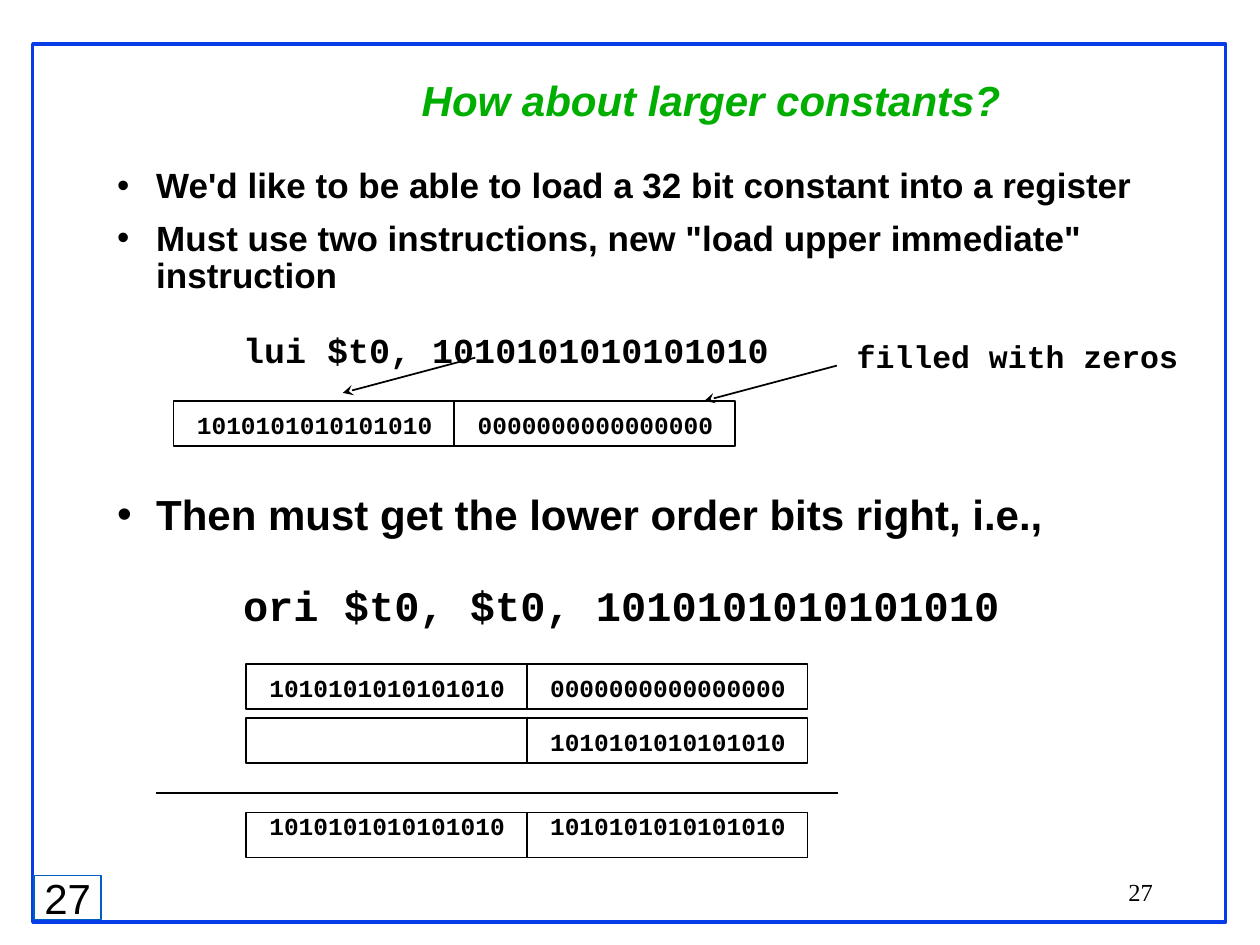
from lxml import etree
from pptx import Presentation
from pptx.dml.color import RGBColor
from pptx.enum.shapes import MSO_CONNECTOR, MSO_SHAPE
from pptx.enum.text import MSO_ANCHOR, PP_ALIGN
from pptx.oxml.ns import qn
from pptx.util import Cm, Pt

BLACK = RGBColor(0, 0, 0)
WHITE = RGBColor(255, 255, 255)
GREEN = RGBColor(0x00, 0xAE, 0x00)
BLUE = RGBColor(0x06, 0x3D, 0xE8)
TEAL = RGBColor(0x00, 0x60, 0xC0)
RECT = MSO_SHAPE.RECTANGLE
LINE = MSO_CONNECTOR.STRAIGHT
TOP, MIDDLE = MSO_ANCHOR.TOP, MSO_ANCHOR.MIDDLE
LEFT, CENTER, RIGHT = PP_ALIGN.LEFT, PP_ALIGN.CENTER, PP_ALIGN.RIGHT
SANS, MONO, SERIF = "Arial", "Courier New", "Times New Roman"
ONES, ZEROS = "10" * 8, "0" * 16
CELL_W, CELL_H = 5.66, 0.91


def write(para, text, size=20, font=SANS, color=BLACK, bold=True, italic=False,
          align=LEFT, before=0, after=0, space=None):
    para.alignment = align
    para.space_before, para.space_after = Pt(before), Pt(after)
    if space:
        para.line_spacing = space
    run = para.add_run()
    run.text = text
    run.font.size, run.font.name = Pt(size), font
    run.font.bold, run.font.italic = bold, italic
    run.font.color.rgb = color


def indent(para, left, hang=0, bullet=None):
    props = para._p.get_or_add_pPr()
    props.set("marL", str(Cm(left)))
    props.set("indent", str(-Cm(hang)))
    if bullet:
        etree.SubElement(props, qn("a:buFont")).set("typeface", SANS)
        etree.SubElement(props, qn("a:buChar")).set("char", bullet)


def frame(slide, x, y, w, h, anchor=TOP, pad=(0.25, 0.13)):
    box = slide.shapes.add_textbox(Cm(x), Cm(y), Cm(w), Cm(h)).text_frame
    box.word_wrap = True
    box.vertical_anchor = anchor
    box.margin_left = box.margin_right = Cm(pad[0])
    box.margin_top = box.margin_bottom = Cm(pad[1])
    return box


def label(slide, text, x, y, w, h, anchor=MIDDLE, pad=(0.25, 0.13), **style):
    box = frame(slide, x, y, w, h, anchor, pad)
    write(box.paragraphs[0], text, **style)


def code(slide, text, x, y, w=5.64, size=14, lead=21):
    label(slide, text, x, y, w, 1.5, TOP, (0.05, 0.08), size=size, font=MONO,
          before=6, after=6, space=Pt(lead))


def rect(slide, x, y, w, h, color=BLACK, width=1, fill=None):
    shape = slide.shapes.add_shape(RECT, Cm(x), Cm(y), Cm(w), Cm(h))
    shape.shadow.inherit = False
    if fill is None:
        shape.fill.background()
    else:
        shape.fill.solid()
        shape.fill.fore_color.rgb = fill
    shape.line.color.rgb = color
    shape.line.width = Pt(width)


def rule(slide, x1, y1, x2, y2, arrow=False):
    line = slide.shapes.add_connector(LINE, Cm(x1), Cm(y1), Cm(x2), Cm(y2))
    line.line.color.rgb = BLACK
    line.line.width = Pt(1)
    if arrow:
        tip = etree.SubElement(line.line._get_or_add_ln(), qn("a:tailEnd"))
        tip.set("type", "stealth")
    etree.SubElement(line._element.spPr, qn("a:effectLst"))


def word(slide, x, y, halves, lift=0.05):
    for i, bits in enumerate(halves):
        left = x + i * CELL_W
        rect(slide, left, y, CELL_W, CELL_H)
        if bits:
            code(slide, bits, left + 0.42, y - lift)


def body(slide):
    lines = [
        ("We'd like to be able to load a 32 bit constant into a register", 20, SANS, 7.5),
        ('Must use two instructions, new "load upper immediate" instruction', 20, SANS, 9),
        ("lui $t0, " + ONES, 20, MONO, 22),
        ("Then must get the lower order bits right, i.e.,", 24, SANS, 70.5),
        ("ori $t0, $t0, " + ONES, 24, MONO, 27),
    ]
    box = frame(slide, 2.11, 3.28, 21.16, 14.5)
    for i, (text, size, font, before) in enumerate(lines):
        para = box.add_paragraph() if i else box.paragraphs[0]
        write(para, text, size=size, font=font, before=before, space=0.88)
        if font == MONO:
            indent(para, 2.54)
        else:
            indent(para, 0.79, 0.79, "•")


def main():
    deck = Presentation()
    deck.slide_width, deck.slide_height = Cm(25.4), Cm(19.05)
    slide = deck.slides.add_slide(deck.slide_layouts[6])

    rect(slide, 0.66, 0.89, 24.05, 17.7, BLUE, 2, WHITE)
    rect(slide, 0.69, 17.65, 1.35, 0.89, TEAL, 1, WHITE)
    label(slide, "27", 0.69, 17.65, 1.35, 0.89, pad=(0, 0), size=24,
          bold=False, align=CENTER)
    label(slide, "27", 18.21, 17.35, 5.28, 1.27, size=14, font=SERIF,
          bold=False, align=RIGHT)
    label(slide, "How about larger constants?", 5.23, 1.45, 18.21, 1.27,
          size=24, color=GREEN, italic=True, align=CENTER, space=0.88)
    body(slide)

    word(slide, 3.5, 8.08, (ONES, ZEROS))
    rule(slide, 9.58, 7.21, 6.91, 7.92, True)
    rule(slide, 16.87, 7.37, 14.2, 8.08, True)
    code(slide, "filled with zeros", 17.22, 6.53, 7.5, 18, 27)

    word(slide, 4.96, 13.39, (ONES, ZEROS))
    word(slide, 4.96, 14.48, ("", ONES))
    rule(slide, 3.15, 15.98, 16.89, 15.98)
    word(slide, 4.96, 16.38, (ONES, ONES), 0.25)

    deck.save("out.pptx")


if __name__ == "__main__":
    main()
